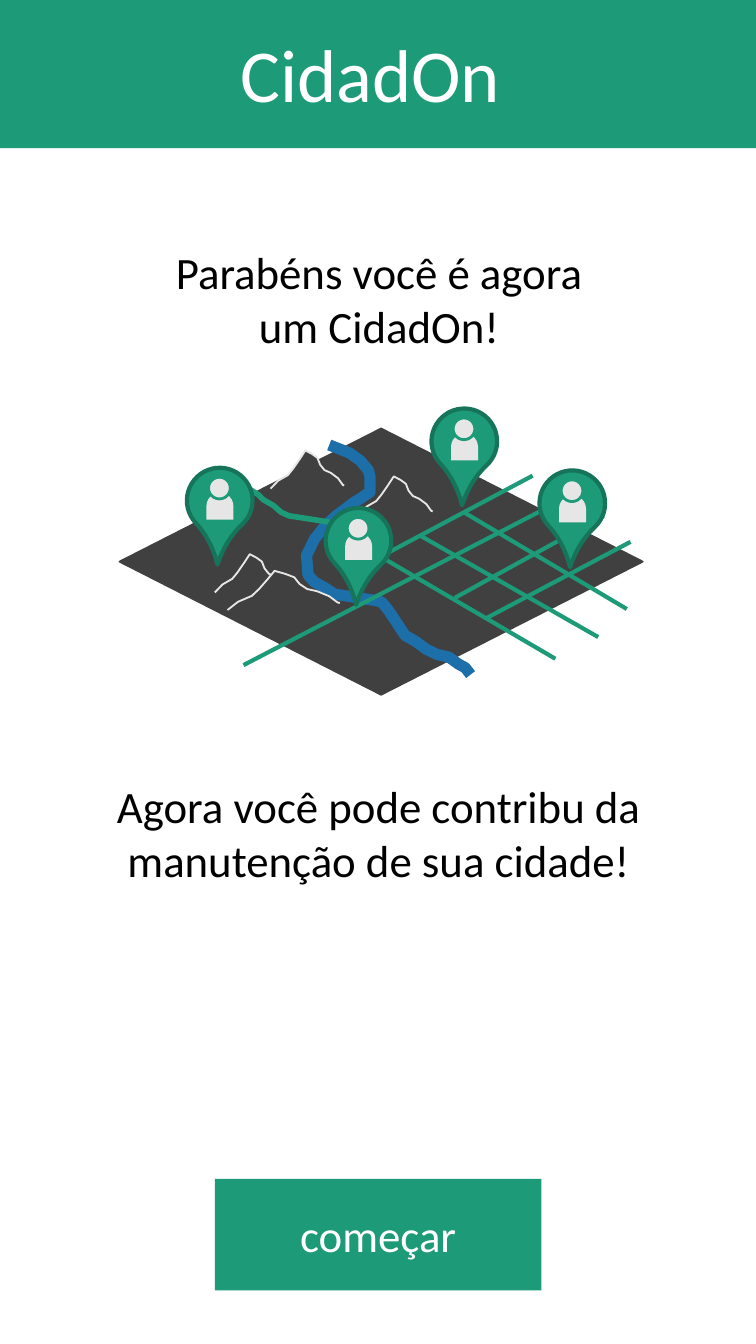
from lxml import etree
from pptx import Presentation
from pptx.dml.color import RGBColor
from pptx.enum.shapes import MSO_CONNECTOR, MSO_SHAPE
from pptx.enum.text import MSO_ANCHOR, PP_ALIGN
from pptx.oxml.ns import qn
from pptx.util import Cm, Pt

RECTANGLE = MSO_SHAPE.RECTANGLE
DIAMOND = MSO_SHAPE.FLOWCHART_DECISION
TEARDROP = MSO_SHAPE.TEAR
DELAY = MSO_SHAPE.FLOWCHART_DELAY
OVAL = MSO_SHAPE.OVAL
STRAIGHT = MSO_CONNECTOR.STRAIGHT
LEFT, CENTER = PP_ALIGN.LEFT, PP_ALIGN.CENTER
MIDDLE = MSO_ANCHOR.MIDDLE

GREEN, DARK_GREEN, BLUE = "1D9A78", "16745A", "1D6FA9"
GROUND, LIGHT, WHITE, BLACK = "404040", "E7E6E6", "FFFFFF", "000000"


def paint(shape, fill=None, line=None, width=1):
    """Set fill and outline; None means no fill or no outline."""
    shape.shadow.inherit = False
    if fill:
        shape.fill.solid()
        shape.fill.fore_color.rgb = RGBColor.from_string(fill)
    else:
        shape.fill.background()
    if line:
        shape.line.color.rgb = RGBColor.from_string(line)
        shape.line.width = Pt(width)
    else:
        shape.line.fill.background()


def write(shape, text, size, color, align=CENTER):
    shape.text_frame.word_wrap = True
    paragraph = shape.text_frame.paragraphs[0]
    paragraph.text = text
    paragraph.alignment = align
    paragraph.font.name = "Calibri"
    paragraph.font.size = Pt(size)
    paragraph.font.color.rgb = RGBColor.from_string(color)


prs = Presentation()
prs.slide_width, prs.slide_height = Cm(14.28), Cm(25.4)
slide = prs.slides.add_slide(prs.slide_layouts[6])
shapes = slide.shapes

# Header and messages
header = shapes.add_shape(RECTANGLE, 0, 0, prs.slide_width, Cm(2.8))
paint(header, GREEN)
for text, left, top, width, height, size, color, align in [
    ("CidadOn", 4.29, 0.41, 5.69, 1.96, 40, WHITE, LEFT),
    ("Agora você pode contribu da manutenção de sua cidade!",
     1.78, 14.6, 10.74, 2.31, 24, BLACK, CENTER),
    ("Parabéns você é agora um CidadOn!",
     2.64, 4.5, 9.04, 2.31, 24, BLACK, CENTER),
]:
    message = shapes.add_textbox(Cm(left), Cm(top), Cm(width), Cm(height))
    write(message, text, size, color, align)

# City map: ground, river, streets, trail, mountains, pins
city = shapes.add_group_shape().shapes
ground = city.add_shape(DIAMOND, Cm(2.26), Cm(8.1), Cm(9.88), Cm(5.03))
paint(ground, GROUND, GROUND)

river = [
    (6.22, 8.41), (6.6, 8.56), (6.81, 8.71), (6.96, 8.89), (6.99, 9.02),
    (6.99, 9.3), (6.81, 9.42), (6.68, 9.5), (6.55, 9.6), (6.35, 9.75),
    (6.15, 9.93), (5.94, 10.19), (5.82, 10.44), (5.79, 10.49), (5.82, 10.87),
    (5.94, 11), (6.17, 11.13), (6.32, 11.23), (6.65, 11.28), (7.09, 11.35),
    (7.21, 11.38), (7.32, 11.51), (7.47, 11.73), (7.65, 12.01), (7.85, 12.12),
    (8.05, 12.27), (8.26, 12.37), (8.48, 12.42), (8.66, 12.55), (8.79, 12.62),
    (8.89, 12.75),
]
trail = [
    (7.24, 10.54), (6.91, 10.46), (6.76, 10.31), (6.65, 10.16), (6.58, 10.01),
    (6.45, 9.93), (6.17, 9.86), (5.79, 9.8), (5.46, 9.75), (5.31, 9.68),
    (5.16, 9.55), (4.98, 9.45), (4.88, 9.35), (4.72, 9.25), (4.62, 9.17),
    (4.5, 9.14),
]
# Mountain outline as fractions of its box
ridge = [
    (0, 1), (0.09, 0.79), (0.21, 0.63), (0.27, 0.46), (0.34, 0.22), (0.4, 0),
    (0.5, 0.06), (0.58, 0.13), (0.63, 0.28), (0.7, 0.39), (0.79, 0.43),
    (0.9, 0.53), (0.98, 0.67), (1, 0.68),
]
streets = [
    (7.19, 10.52, 10.49, 12.45), (7.95, 10.13, 11.3, 12.04),
    (8.76, 9.68, 11.84, 11.51), (11.4, 9.75, 8.59, 11.3),
    (10.67, 9.42, 4.6, 12.57), (11.91, 10.24, 9.19, 11.68),
    (10.06, 8.99, 7.19, 10.52),
]

curves = [(river, None, BLUE, 6, 0), (trail, None, GREEN, 3, 0)]
for left, top, width, height, tilt in [
    (6.83, 9.02, 1.37, 0.81, 8.3), (5.16, 8.53, 1.37, 0.81, 8.3),
    (4.11, 10.49, 1.37, 0.81, 8.3), (4.32, 10.8, 2.11, 0.79, 3.3),
]:
    mountain = [(left + x * width, top + y * height) for x, y in ridge]
    curves.append((mountain, GROUND, LIGHT, 1, tilt))

for points, fill, color, width, tilt in curves:
    start, *rest = [(Cm(x), Cm(y)) for x, y in points]
    builder = city.build_freeform(*start)
    builder.add_line_segments(rest, close=False)
    curve = builder.convert_to_shape()
    paint(curve, fill, color, width)
    curve.rotation = tilt
    if points is river:
        for ends in streets:
            street = city.add_connector(STRAIGHT, *[Cm(v) for v in ends])
            street.line.color.rgb = RGBColor.from_string(GREEN)
            street.line.width = Pt(2.25)
            etree.SubElement(street._element.spPr, qn("a:effectLst"))

for left, top in [(10.19, 8.89), (6.15, 9.6), (3.53, 8.84), (8.15, 7.72)]:
    pin = city.add_shape(TEARDROP, Cm(left), Cm(top), Cm(1.24), Cm(1.24))
    pin.adjustments[0] = 1.38
    pin.rotation = 137
    paint(pin, GREEN, DARK_GREEN, 2.25)
    body = city.add_shape(DELAY, Cm(left + 0.37), Cm(top + 0.47), Cm(0.51), Cm(0.51))
    body.rotation = 270
    paint(body, LIGHT)
    head = city.add_shape(OVAL, Cm(left + 0.41), Cm(top + 0.18), Cm(0.41), Cm(0.41))
    paint(head, LIGHT, GREEN, 1.5)

# Start button
button = shapes.add_shape(RECTANGLE, Cm(4.06), Cm(22.28), Cm(6.17), Cm(2.11))
paint(button, GREEN)
button.text_frame.vertical_anchor = MIDDLE
write(button, "começar", 24, WHITE)

prs.save("out.pptx")
